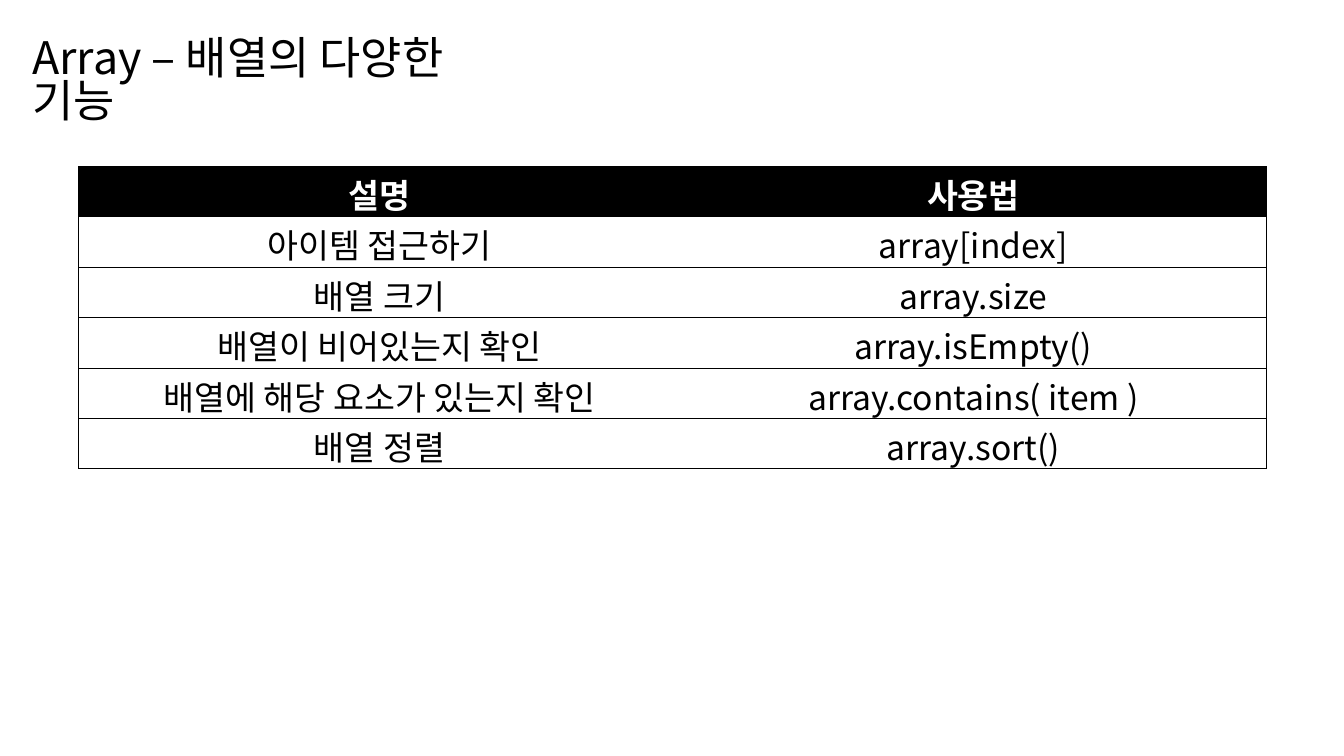
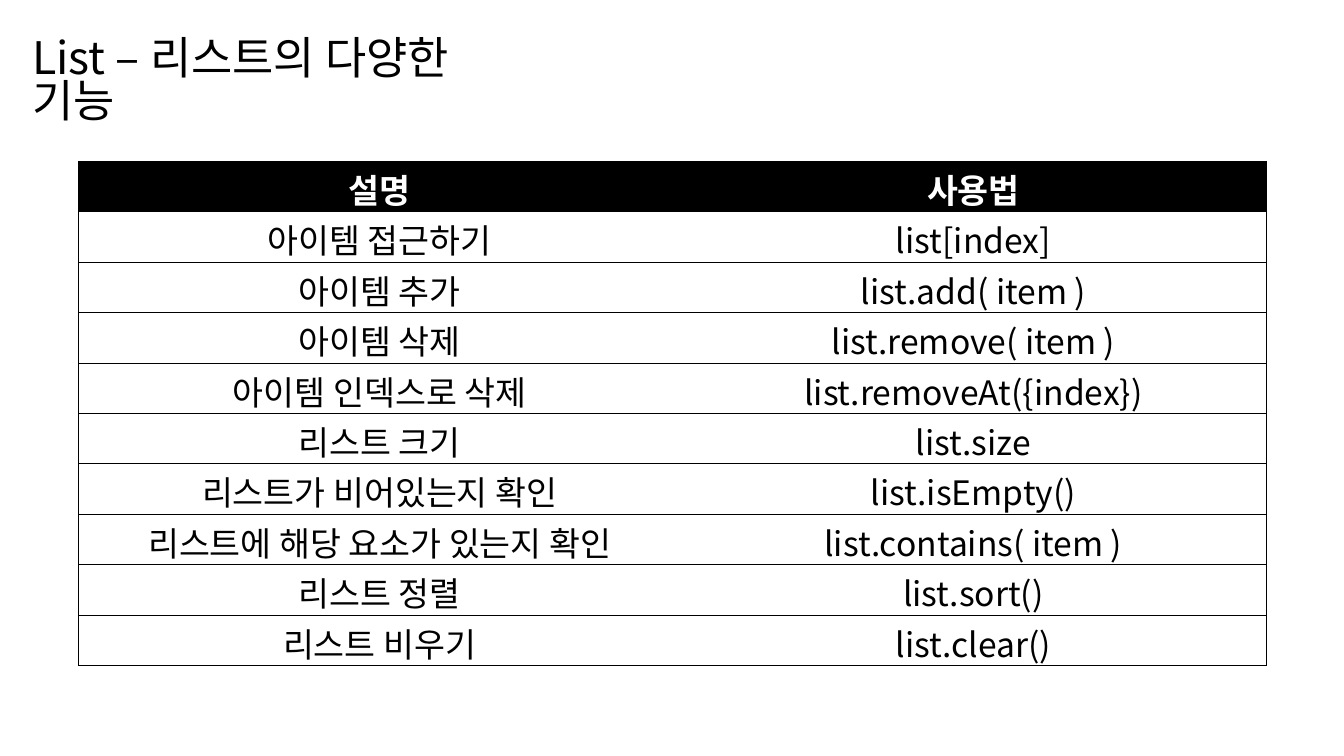
from dataclasses import dataclass

from lxml.etree import SubElement
from pptx import Presentation
from pptx.dml.color import RGBColor
from pptx.enum.text import MSO_ANCHOR, MSO_AUTO_SIZE, PP_ALIGN as Align
from pptx.oxml.ns import qn
from pptx.slide import Slide
from pptx.table import _Cell as Cell
from pptx.text.text import _Paragraph as Paragraph
from pptx.util import Inches, Pt


@dataclass(frozen=True)
class Theme:
    font: str = "Noto Sans CJK KR"
    ink: RGBColor = RGBColor(0, 0, 0)
    paper: RGBColor = RGBColor(255, 255, 255)
    title_size: int = 32
    table_size: int = 24
    line_spacing: float = 0.8
    border_width: float = 0.5


@dataclass(frozen=True)
class Usage:
    description: str
    code: str


@dataclass(frozen=True)
class Reference:
    title: str
    table_top: float
    usages: tuple[Usage, ...]


THEME = Theme()
TABLE_LEFT = 0.78
COLUMN_WIDTHS = (5.97, 5.81)
ROW_HEIGHT = 0.5
HEADER = Usage("설명", "사용법")

REFERENCES = (
    Reference("Array – 배열의 다양한 기능", 1.65, (
        Usage("아이템 접근하기", "array[index]"),
        Usage("배열 크기", "array.size"),
        Usage("배열이 비어있는지 확인", "array.isEmpty()"),
        Usage("배열에 해당 요소가 있는지 확인", "array.contains( item )"),
        Usage("배열 정렬", "array.sort()"),
    )),
    Reference("List – 리스트의 다양한 기능", 1.6, (
        Usage("아이템 접근하기", "list[index]"),
        Usage("아이템 추가", "list.add( item )"),
        Usage("아이템 삭제", "list.remove( item )"),
        Usage("아이템 인덱스로 삭제", "list.removeAt({index})"),
        Usage("리스트 크기", "list.size"),
        Usage("리스트가 비어있는지 확인", "list.isEmpty()"),
        Usage("리스트에 해당 요소가 있는지 확인", "list.contains( item )"),
        Usage("리스트 정렬", "list.sort()"),
        Usage("리스트 비우기", "list.clear()"),
    )),
)


def style_paragraph(paragraph: Paragraph, size: int, color: RGBColor,
                    align: Align, bold: bool = False) -> None:
    paragraph.alignment = align
    paragraph.line_spacing = THEME.line_spacing
    font = paragraph.font
    font.size, font.bold, font.name = Pt(size), bold, THEME.font
    font.color.rgb = color
    defaults = paragraph._p.pPr.find(qn("a:defRPr"))
    SubElement(defaults, qn("a:ea"), typeface=THEME.font)


def add_title(slide: Slide, text: str) -> None:
    title = slide.shapes.title
    title.left, title.top = Inches(0.22), Inches(0.29)
    title.width, title.height = Inches(5.33), Inches(1.14)
    frame = title.text_frame
    frame.text = text
    frame.word_wrap = True
    frame.auto_size = MSO_AUTO_SIZE.NONE
    frame.vertical_anchor = MSO_ANCHOR.TOP
    frame.margin_top, frame.margin_right = Inches(0.11), Inches(0.3)
    style_paragraph(frame.paragraphs[0], THEME.title_size, THEME.ink, Align.LEFT)


def set_borders(cell: Cell, sides: str) -> None:
    """Rule the given sides (letters of LRTB) and clear the others."""
    properties = cell._tc.get_or_add_tcPr()
    for side in "LRTB":
        line = SubElement(properties, qn(f"a:ln{side}"), w=str(Pt(THEME.border_width)))
        if side in sides:
            fill = SubElement(line, qn("a:solidFill"))
            SubElement(fill, qn("a:srgbClr"), val=str(THEME.ink))
        else:
            SubElement(line, qn("a:noFill"))


def fill_cell(cell: Cell, text: str, is_header: bool, outer_side: str) -> None:
    set_borders(cell, outer_side + "TB")
    cell.fill.solid()
    cell.fill.fore_color.rgb = THEME.ink if is_header else THEME.paper
    cell.margin_top, cell.margin_bottom = Inches(0.11), 0
    cell.text = text
    color = THEME.paper if is_header else THEME.ink
    style_paragraph(cell.text_frame.paragraphs[0], THEME.table_size, color,
                    Align.CENTER, bold=is_header)


def add_usage_table(slide: Slide, reference: Reference) -> None:
    rows = (HEADER, *reference.usages)
    table = slide.shapes.add_table(
        len(rows), len(COLUMN_WIDTHS), Inches(TABLE_LEFT), Inches(reference.table_top),
        Inches(sum(COLUMN_WIDTHS)), Inches(ROW_HEIGHT * len(rows))).table
    table.horz_banding = False
    for column, width in zip(table.columns, COLUMN_WIDTHS):
        column.width = Inches(width)
    for index, usage in enumerate(rows):
        fill_cell(table.cell(index, 0), usage.description, index == 0, "L")
        fill_cell(table.cell(index, 1), usage.code, index == 0, "R")


def main() -> None:
    deck = Presentation()
    deck.slide_width, deck.slide_height = Inches(13.33), Inches(7.5)
    title_only = deck.slide_layouts[5]
    for reference in REFERENCES:
        slide = deck.slides.add_slide(title_only)
        add_title(slide, reference.title)
        add_usage_table(slide, reference)
    deck.save("out.pptx")


if __name__ == "__main__":
    main()
